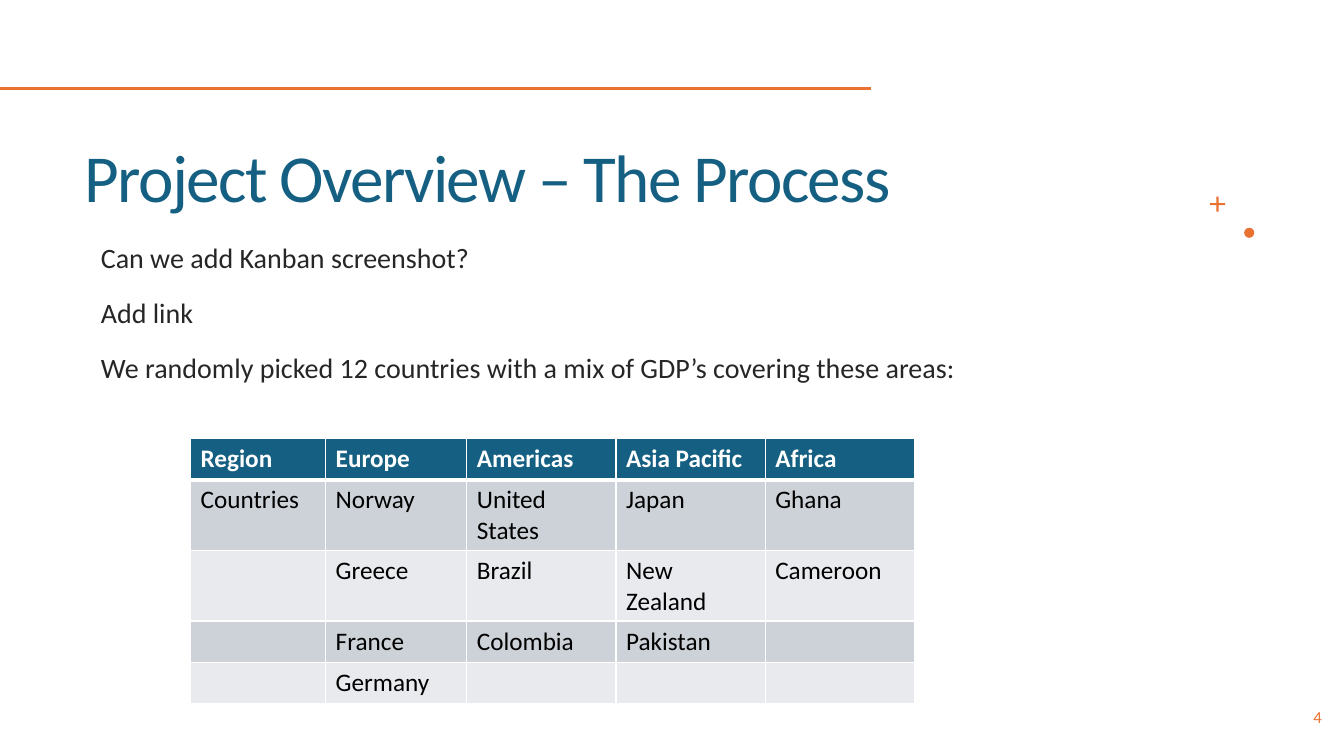
from lxml import etree
from pptx import Presentation
from pptx.dml.color import RGBColor
from pptx.enum.shapes import MSO_CONNECTOR, MSO_SHAPE
from pptx.enum.text import MSO_ANCHOR, MSO_AUTO_SIZE, PP_ALIGN
from pptx.oxml.ns import qn
from pptx.util import Inches, Pt

TEAL = RGBColor(0x15, 0x60, 0x82)
ORANGE = RGBColor(0xE9, 0x71, 0x32)
DARK = RGBColor(0x26, 0x26, 0x26)
BLACK = RGBColor(0, 0, 0)
WHITE = RGBColor(0xFF, 0xFF, 0xFF)
BANDS = RGBColor(0xE8, 0xEA, 0xED), RGBColor(0xCC, 0xD2, 0xD8)

NOTES = [
    "Can we add Kanban screenshot?",
    "Add link",
    "We randomly picked 12 countries with a mix of GDP’s covering these areas:",
]
COUNTRIES = [
    ["Region", "Europe", "Americas", "Asia Pacific", "Africa"],
    ["Countries", "Norway", "United States", "Japan", "Ghana"],
    ["", "Greece", "Brazil", "New Zealand", "Cameroon"],
    ["", "France", "Colombia", "Pakistan", ""],
    ["", "Germany", "", "", ""],
]
COL_WIDTHS = [1.34, 1.4, 1.48, 1.48, 1.48]
ROW_HEIGHTS = [0.41, 0.7, 0.7, 0.41, 0.41]


def apply(obj, values):
    for name, value in values.items():
        setattr(obj, name, value)


class SlideBuilder:
    font = "Calibri"

    def __init__(self, prs):
        self.slide = prs.slides.add_slide(prs.slide_layouts[1])
        self.shapes = self.slide.shapes

    def place(self, sp, left, top, width, height):
        apply(sp, dict(left=Inches(left), top=Inches(top),
                       width=Inches(width), height=Inches(height)))

    def add_text(self, p, text, size, color, bold=False, spacing=None):
        r = p.add_run()
        r.text = text
        apply(r.font, dict(name=self.font, size=Pt(size), bold=bold))
        r.font.color.rgb = color
        if spacing:
            r._r.get_or_add_rPr().set("spc", str(spacing))

    def title(self, text, *box):
        sp = self.shapes.title
        self.place(sp, *box)
        tf = sp.text_frame
        apply(tf, dict(word_wrap=True, auto_size=MSO_AUTO_SIZE.NONE,
                       vertical_anchor=MSO_ANCHOR.BOTTOM))
        p = tf.paragraphs[0]
        apply(p, dict(alignment=PP_ALIGN.LEFT, line_spacing=0.85))
        self.add_text(p, text, 48, TEAL, spacing=-120)

    def body(self, lines, *box):
        sp = self.slide.placeholders[1]
        self.place(sp, *box)
        tf = sp.text_frame
        apply(tf, dict(word_wrap=True, auto_size=MSO_AUTO_SIZE.NONE))
        for i, line in enumerate(lines):
            p = tf.add_paragraph() if i else tf.paragraphs[0]
            pPr = p._p.get_or_add_pPr()
            pPr.set("marL", "0")
            pPr.set("indent", "0")
            etree.SubElement(pPr, qn("a:buNone"))
            apply(p, dict(line_spacing=1.1, space_before=Pt(13 if i else 0)))
            self.add_text(p, line, 20, DARK)

    def number(self, text, *box):
        tf = self.shapes.add_textbox(*map(Inches, box)).text_frame
        apply(tf, dict(word_wrap=True, vertical_anchor=MSO_ANCHOR.BOTTOM))
        p = tf.paragraphs[0]
        p.alignment = PP_ALIGN.RIGHT
        self.add_text(p, text, 12, ORANGE)

    def rule(self, *ends):
        line = self.shapes.add_connector(MSO_CONNECTOR.STRAIGHT, *map(Inches, ends))
        line.line.color.rgb = ORANGE
        line.line.width = Pt(2)
        etree.SubElement(line._element.spPr, qn("a:effectLst"))

    def mark(self, kind, *box):
        sp = self.shapes.add_shape(kind, *map(Inches, box))
        sp.shadow.inherit = False
        sp.fill.solid()
        sp.fill.fore_color.rgb = ORANGE
        sp.line.fill.background()
        return sp

    def border(self, cell, **widths):
        tcPr = cell._tc.get_or_add_tcPr()
        for side, width in widths.items():
            ln = etree.SubElement(tcPr, qn(f"a:ln{side}"), w=str(Pt(width)))
            fill = etree.SubElement(ln, qn("a:solidFill"))
            etree.SubElement(fill, qn("a:srgbClr"), val=str(WHITE))

    def table(self, rows, left, top, widths, heights):
        box = map(Inches, (left, top, sum(widths), sum(heights)))
        table = self.shapes.add_table(len(rows), len(widths), *box).table
        for col, width in zip(table.columns, widths):
            col.width = Inches(width)
        for i, texts in enumerate(rows):
            table.rows[i].height = Inches(heights[i])
            header = i == 0
            for j, text in enumerate(texts):
                cell = table.cell(i, j)
                self.border(cell, L=1, R=1, T=3 if i == 1 else 1, B=3 if header else 1)
                cell.fill.solid()
                cell.fill.fore_color.rgb = TEAL if header else BANDS[i % 2]
                if text:
                    self.add_text(cell.text_frame.paragraphs[0], text, 18,
                                  WHITE if header else BLACK, header)


def main():
    prs = Presentation()
    apply(prs, dict(slide_width=Inches(13.33), slide_height=Inches(7.5)))
    s = SlideBuilder(prs)
    s.rule(0, 0.88, 8.64, 0.88)
    s.mark(MSO_SHAPE.OVAL, 12.34, 2.26, 0.1, 0.1)
    plus = s.mark(MSO_SHAPE.CROSS, 12, 1.95, 0.15, 0.15)
    plus.adjustments[0] = 0.43
    s.title("Project Overview – The Process", 0.74, 0.91, 10.02, 1.29)
    s.body(NOTES, 0.9, 2.3, 10.02, 4.1)
    s.number("4", 12.58, 7.01, 0.63, 0.25)
    s.table(COUNTRIES, 1.89, 4.35, COL_WIDTHS, ROW_HEIGHTS)
    prs.save("out.pptx")


if __name__ == "__main__":
    main()
